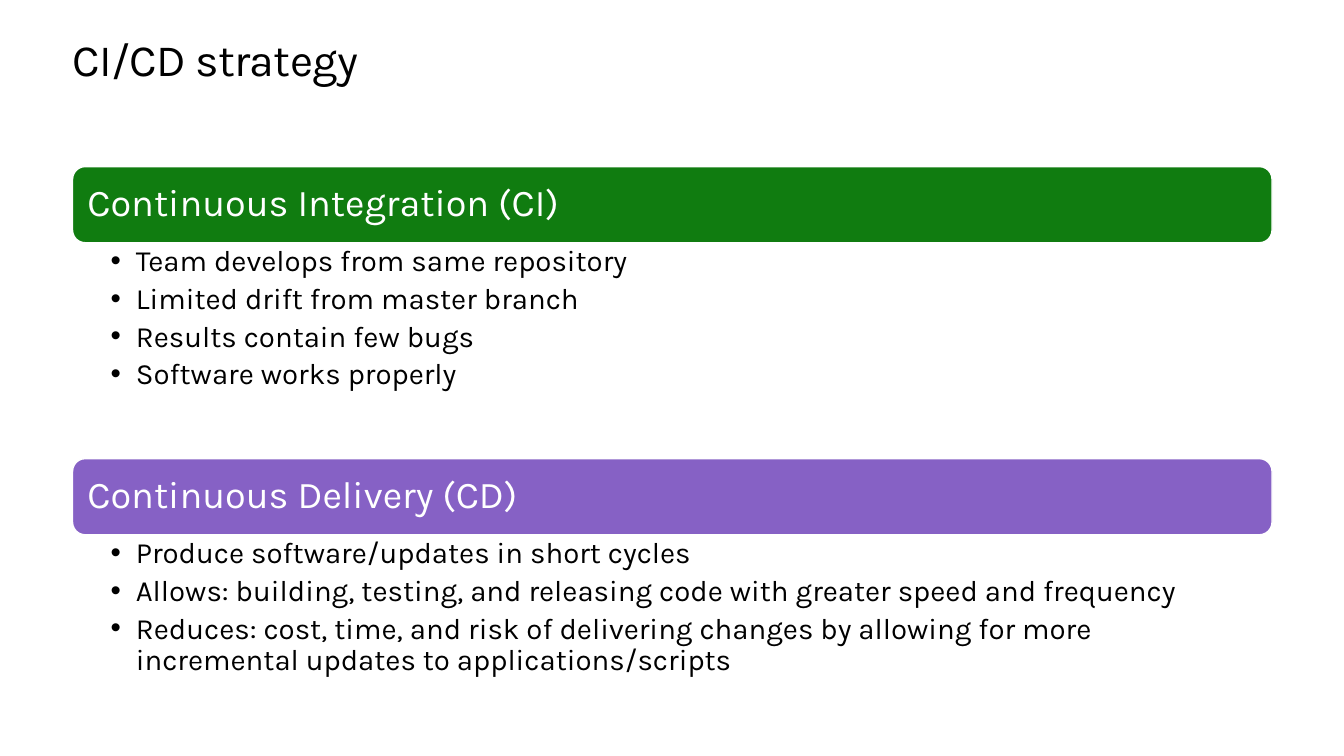
from lxml import etree
from pptx import Presentation
from pptx import util as u
from pptx.dml.color import RGBColor
from pptx.enum import shapes, text
from pptx.oxml import ns

COLOURS = {"black": "000000", "white": "FFFFFF", "green": "107C10", "purple": "8661C5"}
LEFT, WIDTH = 51.84, 856.8
BANNER_HEIGHT = 54.4
SECTIONS = [
    ("Continuous Integration (CI)", "green", 119, 154, [
        "Team develops from same repository",
        "Limited drift from master branch",
        "Results contain few bugs",
        "Software works properly",
    ]),
    ("Continuous Delivery (CD)", "purple", 327.6, 119, [
        "Produce software/updates in short cycles",
        "Allows: building, testing, and releasing code with greater speed and frequency",
        "Reduces: cost, time, and risk of delivering changes by allowing for more "
        "incremental updates to applications/scripts",
    ]),
]


def colour(name):
    return RGBColor.from_string(COLOURS[name])


def write(paragraph, wording, font, size, ink="black", line=0.9, after=0, tracking=0, bullet=False):
    paragraph.alignment = text.PP_ALIGN.LEFT
    paragraph.line_spacing = line
    paragraph.space_before = u.Pt(0)
    paragraph.space_after = u.Pt(after)
    run = paragraph.add_run()
    run.text = wording
    run.font.name = font
    run.font.size = u.Pt(size)
    run.font.color.rgb = colour(ink)
    if tracking:
        run.font._element.set("spc", str(round(tracking * 100)))
    if bullet:
        paragraph.level = 1
        properties = paragraph._p.get_or_add_pPr()
        properties.set("marL", str(u.Pt(18)))
        properties.set("indent", str(u.Pt(-18)))
        bullet_font = etree.SubElement(properties, ns.qn("a:buFont"))
        bullet_font.set("typeface", "Arial")
        etree.SubElement(properties, ns.qn("a:buChar")).set("char", "•")


class SlideBuilder:
    def __init__(self, slide, font):
        self.slide = slide
        self.font = font

    def frame(self, shape, margins, anchor):
        frame = shape.text_frame
        frame.word_wrap = True
        frame.auto_size = text.MSO_AUTO_SIZE.NONE
        frame.vertical_anchor = anchor
        frame.margin_left, frame.margin_top, frame.margin_right, frame.margin_bottom = map(u.Pt, margins)
        return frame

    def title(self, wording, top, height):
        shape = self.slide.shapes.title
        shape.left, shape.top = u.Pt(LEFT), u.Pt(top)
        shape.width, shape.height = u.Pt(WIDTH), u.Pt(height)
        shape.fill.solid()
        shape.fill.fore_color.rgb = colour("white")
        frame = self.frame(shape, (0, 0, 0, 0), text.MSO_ANCHOR.TOP)
        write(frame.paragraphs[0], wording, self.font, 32, line=u.Pt(36.2), tracking=-0.5)

    def banner(self, wording, fill, top):
        shape = self.slide.shapes.add_shape(
            shapes.MSO_SHAPE.ROUNDED_RECTANGLE, u.Pt(LEFT), u.Pt(top), u.Pt(WIDTH), u.Pt(BANNER_HEIGHT))
        shape.shadow.inherit = False
        shape.fill.solid()
        shape.fill.fore_color.rgb = colour(fill)
        shape.line.color.rgb = colour("white")
        shape.line.width = u.Pt(1)
        frame = self.frame(shape, (8, 8, 8, 8), text.MSO_ANCHOR.MIDDLE)
        write(frame.paragraphs[0], wording, self.font, 27, ink="white")

    def bullets(self, items, top, height):
        shape = self.slide.shapes.add_textbox(u.Pt(LEFT), u.Pt(top), u.Pt(WIDTH), u.Pt(height))
        frame = self.frame(shape, (27.2, 2.7, 15.1, 2.7), text.MSO_ANCHOR.TOP)
        for index, item in enumerate(items):
            paragraph = frame.add_paragraph() if index else frame.paragraphs[0]
            write(paragraph, item, self.font, 21, after=4.2, bullet=True)


def main():
    presentation = Presentation()
    presentation.slide_width, presentation.slide_height = u.Pt(960), u.Pt(540)
    slide = presentation.slides.add_slide(presentation.slide_layouts[5])
    builder = SlideBuilder(slide, "Karla")
    builder.title("CI/CD strategy", 25.2, 36.2)
    for heading, fill, top, height, items in SECTIONS:
        builder.banner(heading, fill, top)
        builder.bullets(items, top + BANNER_HEIGHT, height)
    presentation.save("out.pptx")


if __name__ == "__main__":
    main()
